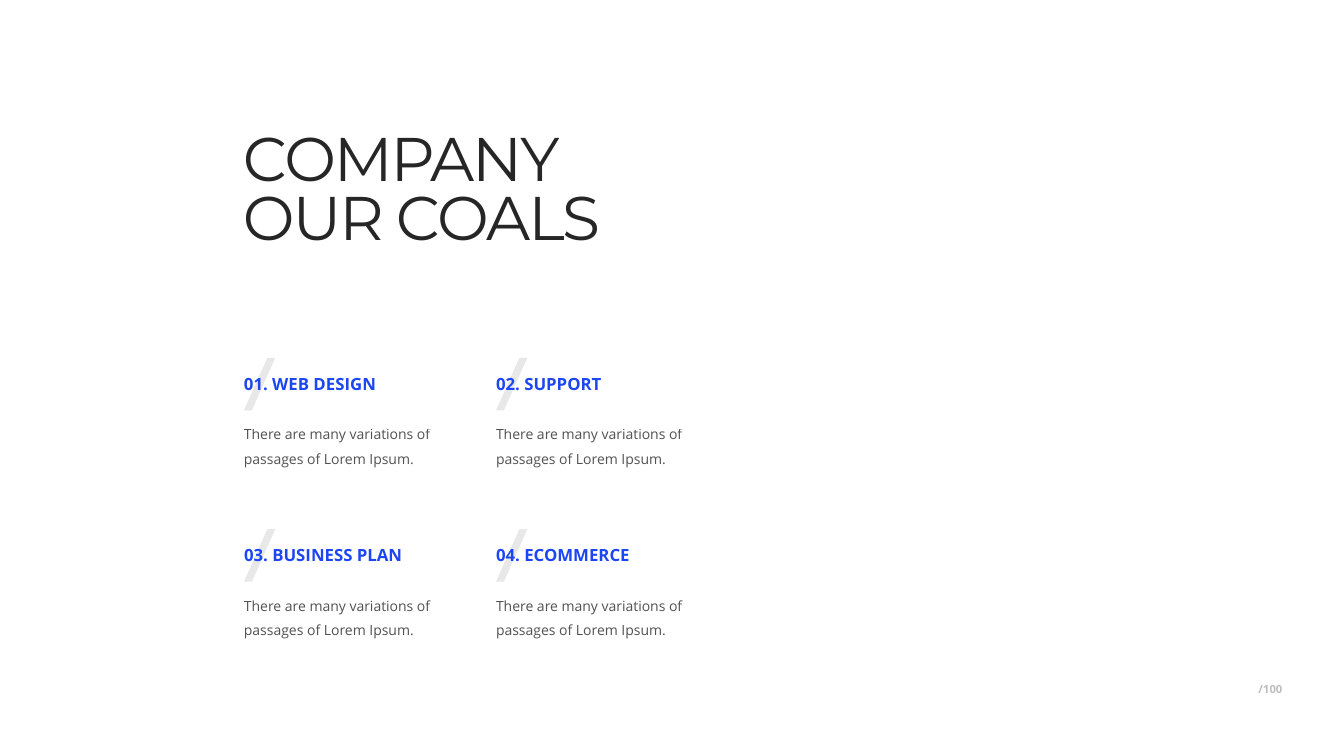
"""Build the company goals slide."""
from pptx import Presentation
from pptx.dml.color import RGBColor
from pptx.enum.shapes import MSO_SHAPE as SHAPE
from pptx.enum.text import MSO_ANCHOR as ANCHOR, MSO_AUTO_SIZE as AUTO, PP_ALIGN as ALIGN
from pptx.oxml.ns import qn
from pptx.util import Inches, Pt
from lxml import etree

TITLE = "COMPANY\nOUR COALS"
PAGE = "/100"
BODY = "There are many variations of passages of Lorem Ipsum."
GOALS = [
    ("01. WEB DESIGN", 1.33),
    ("02. SUPPORT", 1.06),
    ("03. BUSINESS PLAN", 1.59),
    ("04. ECOMMERCE", 1.34),
]
DARK, BLUE = "262626", "1D46F3"
LEFT, TOP = 2.42, 3.55
COL_STEP, ROW_STEP = 2.5, 1.7


def paint(fill, color, alpha=100):
    fill.solid()
    fill.fore_color.rgb = RGBColor.from_string(color)
    if alpha < 100:
        clr = next(fill._xPr.iter(qn("a:srgbClr")))
        etree.SubElement(clr, qn("a:alpha")).set("val", str(alpha * 1000))


def write(shape, text, size, font, color, alpha=100, bold=False, inset=0.05,
          align=ALIGN.LEFT, anchor=ANCHOR.TOP, spacing=None, wrap=True):
    tf = shape.text_frame
    tf.margin_left = tf.margin_right = 0
    tf.margin_top = tf.margin_bottom = Inches(inset)
    tf.auto_size = AUTO.NONE if wrap else AUTO.SHAPE_TO_FIT_TEXT
    tf.word_wrap = wrap
    tf.vertical_anchor = anchor
    p = tf.paragraphs[0]
    p.text = text
    p.alignment = align
    if spacing:
        p.line_spacing = spacing
    for r in p.runs:
        r.font.size = Pt(size)
        r.font.name = font
        r.font.bold = bold
        paint(r.font.fill, color, alpha)
    return tf


def add_text(s, box, *args, **kwargs):
    return write(s.shapes.add_textbox(*map(Inches, box)), *args, **kwargs)


def add_goal(s, x, y, heading, width):
    slash = s.shapes.add_shape(SHAPE.PARALLELOGRAM, *map(Inches, (x, y, 0.31, 0.52)))
    slash.adjustments[0] = 0.747
    slash.shadow.inherit = False
    slash.line.fill.background()
    paint(slash.fill, DARK, 10)
    add_text(s, (x, y + 0.11, width, 0.3), heading, 12, "Open Sans", BLUE,
             bold=True, wrap=False)
    add_text(s, (x, y + 0.55, 2.1, 0.66), BODY, 10, "Open Sans", DARK, 80, spacing=1.45)


def main():
    prs = Presentation()
    prs.slide_width, prs.slide_height = Inches(13.33), Inches(7.5)
    s = prs.slides.add_slide(prs.slide_layouts[5])
    paint(s.background.fill, "FFFFFF")

    title = s.shapes.title
    title.left, title.top, title.width, title.height = map(Inches, (2.41, 1.12, 5, 1.63))
    tf = write(title, TITLE, 44, "Montserrat", DARK, inset=0, spacing=0.8)
    tf.margin_top = Inches(0.21)
    for r in tf.paragraphs[0].runs:
        r.font._element.set("spc", "-150")

    for i, (heading, width) in enumerate(GOALS):
        row, col = divmod(i, 2)
        add_goal(s, LEFT + col * COL_STEP, TOP + row * ROW_STEP, heading, width)

    add_text(s, (12.16, 6.71, 0.56, 0.25), PAGE, 8, "Open Sans", DARK, 30, bold=True,
             inset=0, align=ALIGN.RIGHT, anchor=ANCHOR.MIDDLE)
    prs.save("out.pptx")


if __name__ == "__main__":
    main()
